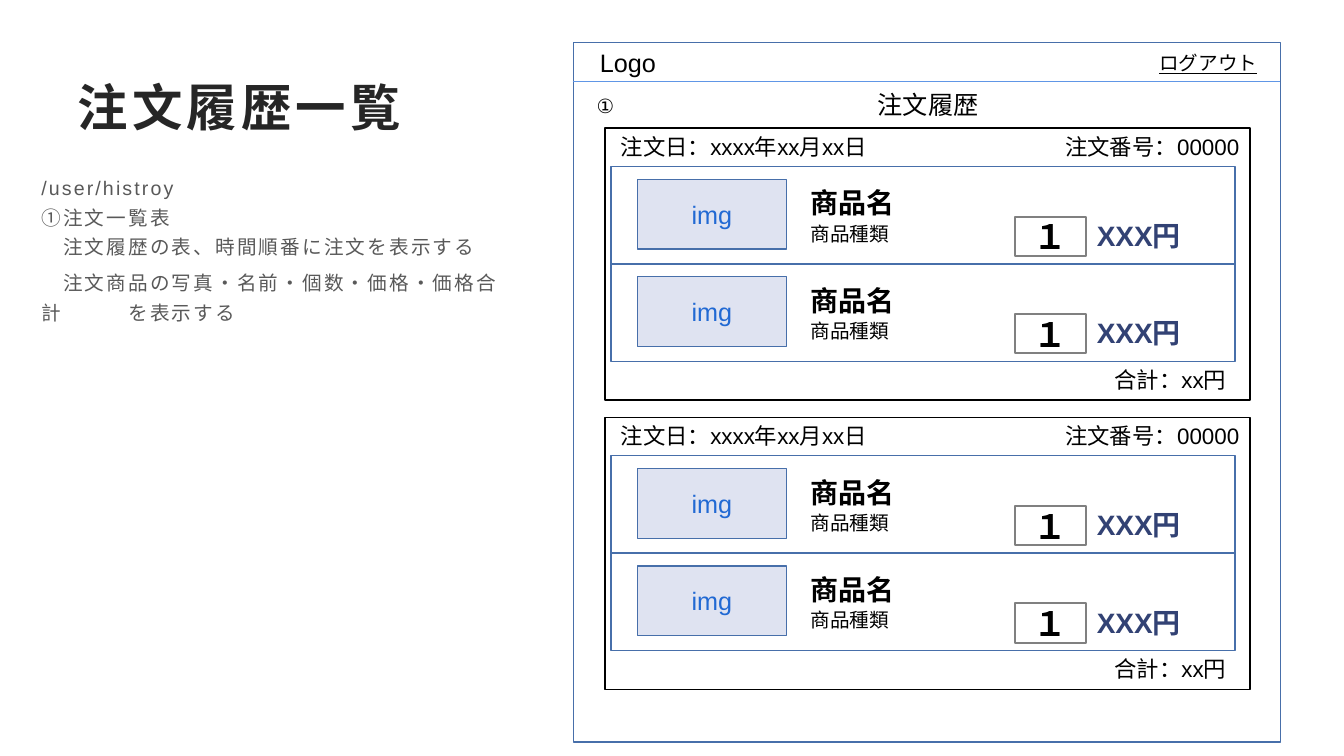
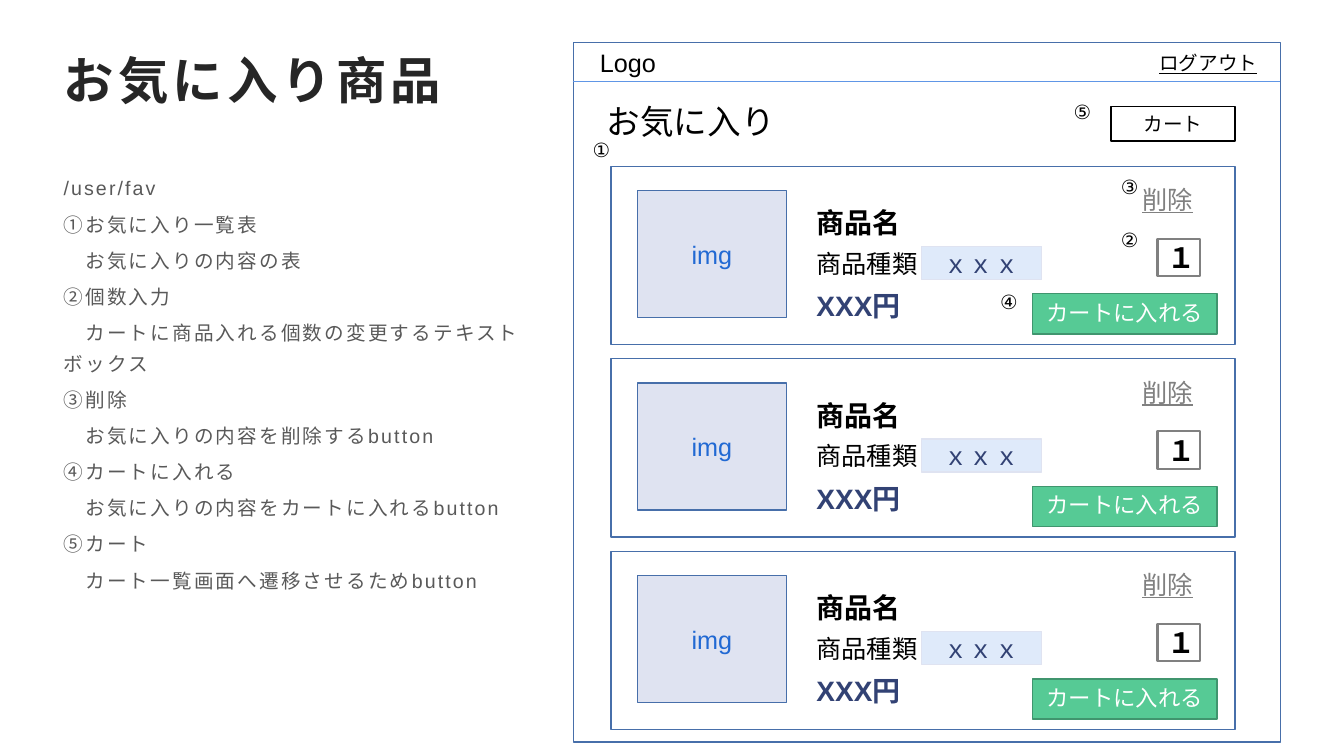
from pptx import Presentation
from pptx import util as u
from pptx.dml import color
from pptx.enum import shapes, text
from pptx.oxml import ns
from lxml import etree

CELL = 0.1  # grid step in inches: 133.3 columns by 75 rows
FACE = "Arial"
HUES = {
    "ink": "000000", "head": "262626", "body": "595959", "grey": "808080",
    "edge": "476FAA", "rule": "6096E6", "pale": "DFE3F1", "link": "2169D3",
    "navy": "324274", "sky": "DFEAFA", "green": "56CA95", "moss": "40956E",
    "white": "FFFFFF",
}
SIDES = {"l": text.PP_ALIGN.LEFT, "c": text.PP_ALIGN.CENTER,
         "r": text.PP_ALIGN.RIGHT}


def grid(*spots):
    """Turn grid steps into lengths."""
    return [u.Inches(s * CELL) for s in spots]


def hue(name):
    """Look up a colour by its name."""
    return color.RGBColor.from_string(HUES[name])


def add(node, tag, **attrs):
    """Append a drawing element to a node."""
    etree.SubElement(node, ns.qn(tag), attrs)


def write(frame, lines, mid=False, **base):
    """Fill a frame; a line is a string or a (string, format) pair."""
    frame.word_wrap = True
    frame.auto_size = text.MSO_AUTO_SIZE.NONE
    frame.vertical_anchor = (
        text.MSO_ANCHOR.MIDDLE if mid else text.MSO_ANCHOR.TOP)
    for i, line in enumerate([lines] if isinstance(lines, str) else lines):
        words, own = (line, {}) if isinstance(line, str) else line
        fmt = {**base, **own}
        para = frame.add_paragraph() if i else frame.paragraphs[0]
        para.alignment = SIDES[fmt.get("side", "l")]
        para.line_spacing = fmt.get("lead", 1.0)
        para.space_before = u.Pt(0)
        para.space_after = u.Pt(fmt.get("after", 0))
        if fmt.get("plain"):
            props = para._p.get_or_add_pPr()
            props.set("marL", "0")
            props.set("indent", "0")
            add(props, "a:buNone")
        run = para.add_run()
        run.text = words
        font = run.font
        font.name = FACE
        font.size = u.Pt(fmt.get("size", 18))
        font.bold = fmt.get("bold", False)
        font.underline = fmt.get("under", False)
        font.color.rgb = hue(fmt.get("ink", "ink"))
        props = run._r.get_or_add_rPr()
        add(props, "a:ea", typeface=FACE)
        if "track" in fmt:
            props.set("spc", str(int(fmt["track"] * 100)))


class Deck:
    """Hold the style and the current slide."""

    def __init__(self):
        """Open an empty wide deck."""
        self.prs = Presentation()
        self.prs.slide_width = u.Inches(13.33)
        self.prs.slide_height = u.Inches(7.5)

    def page(self, title, spot, notes, area):
        """Start a slide with its title and list."""
        self.slide = self.prs.slides.add_slide(self.prs.slide_layouts[1])
        head, body = self.slide.placeholders
        self.place(head, *spot, 120, 7.7)
        self.place(body, *area, 52)
        write(head.text_frame, title, mid=True, size=36, bold=True,
              ink="head", track=3)
        write(body.text_frame, notes, size=14, ink="body", track=1.5,
              lead=1.3, after=4, plain=True)

    def place(self, item, *spot):
        """Move and size an item on the grid."""
        item.left, item.top, item.width, item.height = grid(*spot)

    def box(self, x, y, w, h, words="", fill=None, line="edge", wide=1,
            mid=True, **fmt):
        """Draw a framed rectangle, with centred text if given."""
        box = self.slide.shapes.add_shape(
            shapes.MSO_SHAPE.RECTANGLE, *grid(x, y, w, h))
        box.shadow.inherit = False
        if fill:
            box.fill.solid()
            box.fill.fore_color.rgb = hue(fill)
        else:
            box.fill.background()
        box.line.color.rgb = hue(line)
        box.line.width = u.Pt(wide)
        if words:
            write(box.text_frame, words, mid=mid, side="c", **fmt)

    def label(self, x, y, w, h, words, **fmt):
        """Set free text."""
        box = self.slide.shapes.add_textbox(*grid(x, y, w, h))
        write(box.text_frame, words, **fmt)

    def rule(self, x, y, end):
        """Draw a thin level line."""
        line = self.slide.shapes.add_connector(
            shapes.MSO_CONNECTOR.STRAIGHT, *grid(x, y, end, y))
        line.line.color.rgb = hue("rule")
        line.line.width = u.Pt(0.5)
        add(line._element.spPr, "a:effectLst")

    def mark(self, x, y, sign):
        """Set a circled number."""
        self.label(x, y, 5, 3.4, sign, size=14)

    def screen(self):
        """Draw the window with its top bar."""
        self.box(56.9, 4.2, 70.1, 69.4)
        self.rule(56.8, 8.1, 127)
        self.label(58.5, 4.2, 8.5, 3.8, "Logo")
        self.label(114, 4.6, 13, 3.4, "ログアウト", size=14, under=True)

    def thumb(self, y, h):
        """Draw the stand-in for a product photo."""
        self.box(63.2, y, 14.8, h, "img", fill="pale", ink="link")

    def count(self, x, y, w, h, size):
        """Draw a quantity field."""
        self.box(x, y, w, h, "１", line="grey", wide=1.5, size=size,
                 bold=True)

    def item(self, y):
        """Draw one ordered product."""
        self.box(60.6, y, 61.9, 9.7)
        self.thumb(y + 1.3, 6.9)
        self.label(79.4, y + 1.1, 44.4, 6.9,
                   [("商品名", {"size": 20, "bold": True}), "商品種類"],
                   size=14, lead=1.1)
        self.count(100.7, y + 5, 7, 3.9, 24)
        self.label(107.8, y + 4.7, 14, 4.4, "XXX円", size=20, bold=True,
                   ink="navy")

    def order(self, y):
        """Draw one order with two products."""
        self.box(60, y, 64, 27, line="ink")
        for row in range(2):
            self.item(y + 3.8 + 9.65 * row)
        self.label(60.6, y, 40, 3.7, "注文日：xxxx年xx月xx日", size=16)
        self.label(91.3, y, 32.6, 3.7, "注文番号：00000", size=16, side="r")
        self.label(79.5, y + 23.1, 43.1, 3.7, "合計：xx円", size=16, side="r")

    def card(self, y):
        """Draw one favourite product."""
        self.box(60.6, y, 61.9, 17.7)
        self.thumb(y + 2.4, 12.6)
        self.label(80, y + 2.4, 44.4, 12.6, [
            ("商品名", {"size": 20, "bold": True}),
            "商品種類",
            ("XXX円", {"size": 20, "bold": True, "ink": "navy"}),
        ], lead=1.3)
        self.box(91.4, y + 7.95, 11.9, 3.3, "ｘｘｘ", fill="sky",
                 line="pale", ink="navy")
        self.count(114.8, y + 7.2, 4.2, 3.7, 20)
        self.label(112.3, y + 1.3, 7.2, 4.1, "削除", ink="grey", under=True)
        self.box(102.4, y + 12.65, 18.3, 4, "カートに入れる", fill="green",
                 line="moss", mid=False, size=16, ink="white")


def history(deck):
    """Build the order history slide."""
    deck.page("注文履歴一覧", (6.7, 6.7), [
        "/user/histroy",
        ("①注文一覧表", {"lead": 1.0}),
        ("　注文履歴の表、時間順番に注文を表示する", {"lead": 1.0}),
        "　注文商品の写真・名前・個数・価格・価格合計　　　を表示する",
    ], (3.1, 16.3, 51))
    deck.screen()
    for row in range(2):
        deck.order(12.7 + 28.7 * row)
    deck.label(58.7, 8.4, 66.7, 4, "注文履歴", side="c")
    deck.mark(58.2, 8.8, "①")


def likes(deck):
    """Build the favourites slide."""
    deck.page("お気に入り商品", (5.3, 4), [
        "/user/fav",
        "①お気に入り一覧表",
        "　お気に入りの内容の表",
        "②個数入力",
        "　カートに商品入れる個数の変更するテキストボックス",
        "③削除",
        "　お気に入りの内容を削除するbutton",
        "④カートに入れる",
        "　お気に入りの内容をカートに入れるbutton",
        "⑤カート",
        "　カート一覧画面へ遷移させるためbutton",
    ], (5.3, 16.3, 49.6))
    deck.screen()
    deck.label(59.2, 9.5, 19.4, 5.3, "お気に入り", size=24)
    deck.box(110.2, 10.6, 12.3, 3.4, "カート", fill="white", line="ink",
             mid=False, size=14)
    for row in range(3):
        deck.card(16.5 + 19.1 * row)
    spots = [(57.8, 13.2), (110.2, 22.1), (110.2, 16.9), (98.2, 28.3),
             (105.5, 9.4)]
    for spot, sign in zip(spots, "①②③④⑤"):
        deck.mark(*spot, sign)


deck = Deck()
history(deck)
likes(deck)
deck.prs.save("out.pptx")
